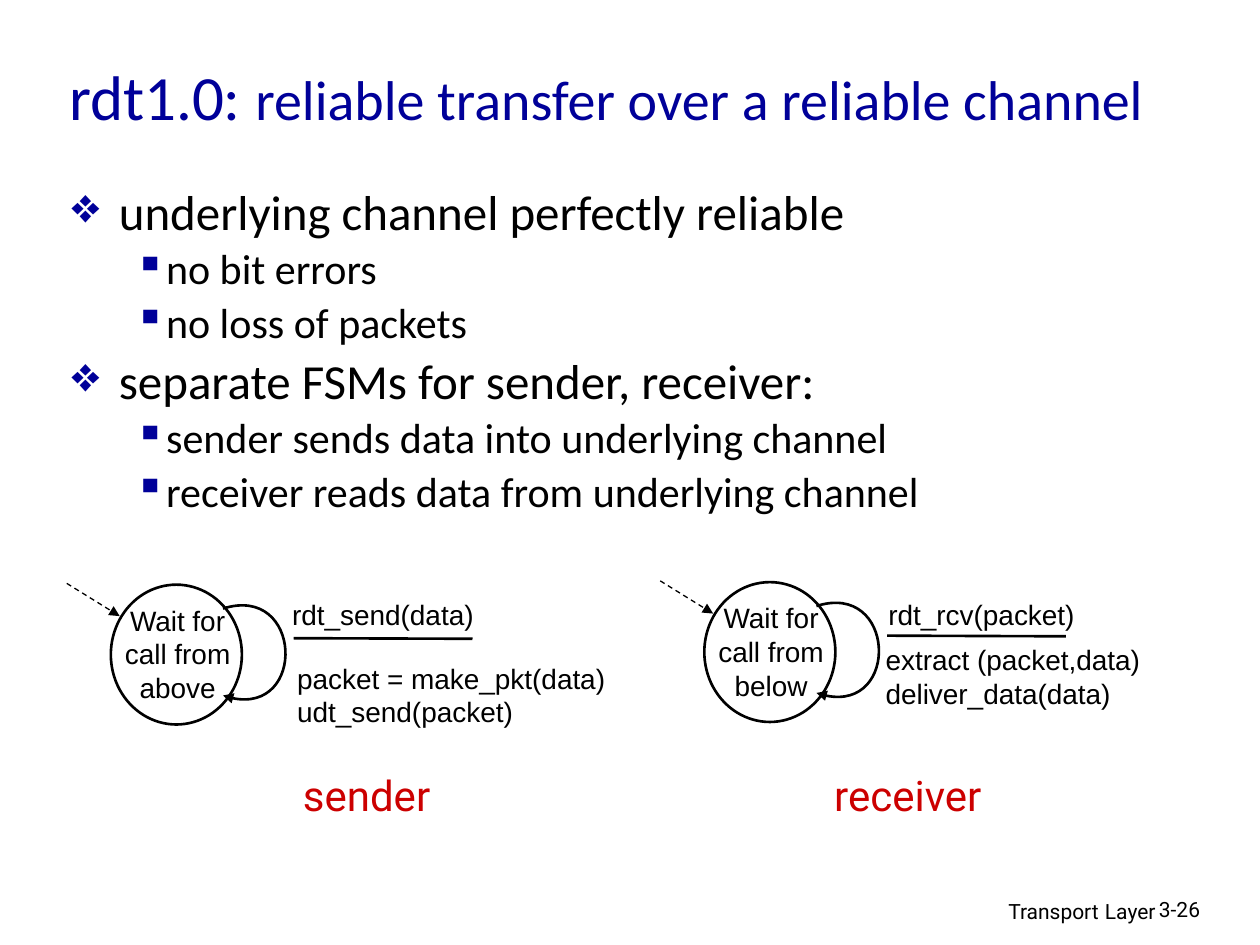
import pptx
import pptx.dml.color
import pptx.enum.dml
import pptx.enum.shapes
import pptx.enum.text
import pptx.oxml
import pptx.oxml.ns
import pptx.util
import lxml.etree
from dataclasses import dataclass

qn = pptx.oxml.ns.qn
Align = pptx.enum.text.PP_ALIGN
Anchor = pptx.enum.text.MSO_ANCHOR


@dataclass(frozen=True)
class Theme:
    ink: str = "000000"
    paper: str = "FFFFFF"
    accent: str = "000099"
    caption: str = "CC0000"
    body_font: str = "Calibri"
    diagram_font: str = "Arial"
    label_font: str = "Roboto"
    title_size: int = 36
    subtitle_size: int = 32
    point_size: int = 28
    detail_size: int = 24
    diagram_size: int = 16
    footer_gap_size: int = 14
    footer_size: int = 12


theme = Theme()
rgb = pptx.dml.color.RGBColor.from_string
presentation = pptx.Presentation()
presentation.slide_width = pptx.util.Inches(10)
presentation.slide_height = pptx.util.Inches(7.5)
column = presentation.slide_width / 100
row = presentation.slide_height / 75
slide = presentation.slides.add_slide(presentation.slide_layouts[6])


def add_text(box, lines, name, size, color=theme.ink, align=Align.LEFT, **frame_format):
    left, top, width, height = box
    shape = slide.shapes.add_textbox(
        int(left * column), int(top * row), int(width * column), int(height * row))
    frame = shape.text_frame
    for attribute, value in ({"word_wrap": True} | frame_format).items():
        setattr(frame, attribute, value)
    for index, line in enumerate(lines):
        paragraph = frame.paragraphs[0] if index == 0 else frame.add_paragraph()
        paragraph.alignment = align
        for text, run_size in ([(line, size)] if isinstance(line, str) else line):
            run = paragraph.add_run()
            run.text = text
            for attribute, value in {"name": name, "size": pptx.util.Pt(run_size)}.items():
                setattr(run.font, attribute, value)
            run.font.color.rgb = rgb(color)
    return frame


def style_line(shape, width, dash=None, arrow=False):
    shape.line.color.rgb = rgb(theme.ink)
    for attribute, value in {"width": pptx.util.Pt(width), "dash_style": dash}.items():
        setattr(shape.line, attribute, value)
    properties = shape.element.spPr
    if arrow:
        lxml.etree.SubElement(properties.find(qn("a:ln")), qn("a:tailEnd"), type="triangle")
    if properties.find(qn("a:effectLst")) is None:
        lxml.etree.SubElement(properties, qn("a:effectLst"))


add_text((61, 70.5, 31.7, 3.1),
         [[("Transport", theme.footer_size), (" ", theme.footer_gap_size),
           ("Layer", theme.footer_size)]],
         theme.label_font, theme.footer_size, align=Align.RIGHT)
add_text((91, 70.7, 7.4, 3), ["3-26"], theme.label_font, theme.footer_size)
add_text((4.5, 2.1, 87.5, 11),
         [[("rdt1.0: ", theme.title_size),
           ("reliable transfer over a reliable channel", theme.subtitle_size)]],
         theme.body_font, theme.title_size, theme.accent, vertical_anchor=Anchor.MIDDLE)

levels = [
    {"size": theme.point_size, "bullet": "❖", "margin": 3.75, "indent": 3.75, "before": 7},
    {"size": theme.detail_size, "bullet": "▪", "margin": 7.5, "indent": 2.5, "before": 6},
]
outline = [
    (0, "underlying channel perfectly reliable"),
    (1, "no bit errors"),
    (1, "no loss of packets"),
    (0, "separate FSMs for sender, receiver:"),
    (1, "sender sends data into underlying channel"),
    (1, "receiver reads data from underlying channel"),
]
body = add_text((4.7, 14.6, 86.4, 33),
                [[(text, levels[level]["size"])] for level, text in outline],
                theme.body_font, theme.point_size)
for index, (paragraph, (level, text)) in enumerate(zip(body.paragraphs, outline)):
    look = levels[level]
    properties = paragraph._p.get_or_add_pPr()
    properties.set("marL", str(int(look["margin"] * column)))
    properties.set("indent", str(-int(look["indent"] * column)))
    bullet_color = lxml.etree.SubElement(properties, qn("a:buClr"))
    lxml.etree.SubElement(bullet_color, qn("a:srgbClr"), val=theme.accent)
    lxml.etree.SubElement(properties, qn("a:buChar"), char=look["bullet"])
    spacing = {"level": level, "line_spacing": 0.85,
               "space_before": pptx.util.Pt(look["before"] if index else 0)}
    for attribute, value in spacing.items():
        setattr(paragraph, attribute, value)

fitted = {"word_wrap": False, "auto_size": pptx.enum.text.MSO_AUTO_SIZE.SHAPE_TO_FIT_TEXT}
machines = [
    {"x": 0, "y": 0, "state": "Wait for call from above",
     "event": "rdt_send(data)", "event_box": (22.2, 46.9, 24.7, 4.7),
     "event_format": {},
     "actions": ["packet = make_pkt(data)", "udt_send(packet)"],
     "action_box": (22.6, 52, 29.3, 6.5),
     "role": "sender", "role_box": (22.7, 60.6, 12.8, 5)},
    {"x": 47.1, "y": -0.2, "state": "Wait for call from below",
     "event": "rdt_rcv(packet)", "event_box": (69.5, 46.9, 16.8, 3.7),
     "event_format": {"align": Align.CENTER} | fitted,
     "actions": ["extract (packet,data)", "deliver_data(data)"],
     "action_box": (69.3, 50.5, 27.2, 4.7),
     "role": "receiver", "role_box": (64.8, 60.6, 14.5, 5)},
]
diagram_text = (theme.diagram_font, theme.diagram_size)
for machine in machines:
    x, y = machine["x"], machine["y"]
    state = slide.shapes.add_shape(
        pptx.enum.shapes.MSO_SHAPE.OVAL, int((8.8 + x) * column), int((46.4 + y) * row),
        int(10.4 * column), int(11.1 * row))
    state.shadow.inherit = False
    state.fill.solid()
    state.fill.fore_color.rgb = rgb(theme.paper)
    style_line(state, 1.5)
    add_text((8.1 + x, 47.4 + y, 12, 10), [machine["state"]], *diagram_text,
             align=Align.CENTER)

    start, *controls = [
        (int((across + x) * column), int((down + y) * row))
        for across, down in [(17.7, 48.3), (24, 46.3), (24.4, 57.5), (17.7, 55.2)]]
    builder = slide.shapes.build_freeform(*start)
    builder.add_line_segments(controls, close=False)
    loop = builder.convert_to_shape()
    outline_element = loop.element.xpath(".//a:path")[0]
    curve = lxml.etree.SubElement(outline_element, qn("a:cubicBezTo"))
    for segment in outline_element.findall(qn("a:lnTo")):
        curve.append(segment[0])
        outline_element.remove(segment)
    loop.shadow.inherit = False
    loop.fill.background()
    style_line(loop, 1.5, arrow=True)

    add_text(machine["action_box"], machine["actions"], *diagram_text)
    add_text(machine["event_box"], [machine["event"]], *diagram_text,
             **machine["event_format"])
    strokes = [
        ((23.3, 50.65, 37.5, 50.7), {"width": 1.5}),
        ((5.3, 46.3, 9.5, 48.9),
         {"width": 0.75, "dash": pptx.enum.dml.MSO_LINE.DASH, "arrow": True}),
    ]
    for (left, top, right, bottom), stroke_format in strokes:
        connector = slide.shapes.add_connector(
            pptx.enum.shapes.MSO_CONNECTOR.STRAIGHT,
            int((left + x) * column), int((top + y) * row),
            int((right + x) * column), int((bottom + y) * row))
        style_line(connector, **stroke_format)
    add_text(machine["role_box"], [machine["role"]], theme.label_font, theme.detail_size,
             theme.caption, Align.CENTER, **fitted)

presentation.save("out.pptx")
